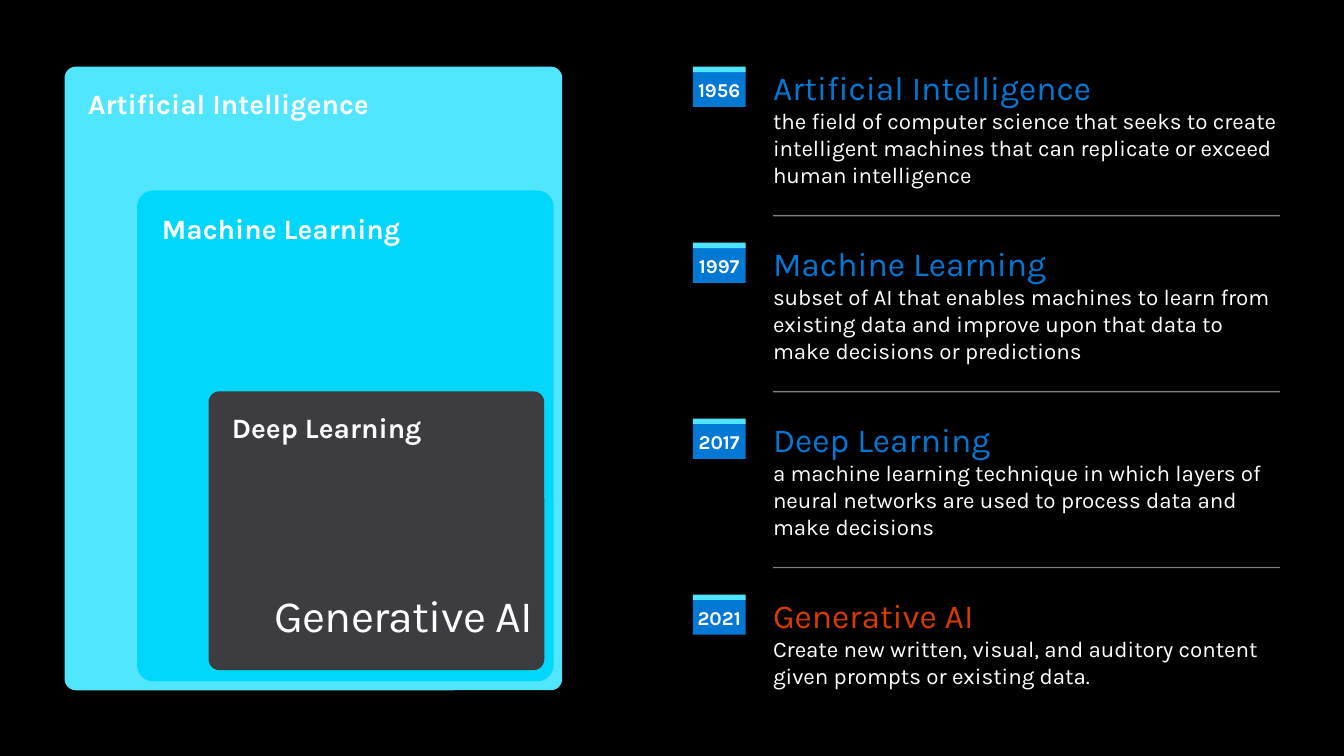
"""Build the slide that nests the fields of AI beside their timeline."""
from math import ceil

from lxml.etree import SubElement
from pptx import Presentation
from pptx.dml.color import RGBColor
from pptx.enum.shapes import MSO_CONNECTOR, MSO_SHAPE
from pptx.enum.text import MSO_ANCHOR, MSO_AUTO_SIZE, PP_ALIGN
from pptx.oxml.ns import qn
from pptx.util import Pt

THEME = {
    "font": "Karla",
    "background": "000000", "text": "FFFFFF", "accent": "0078D4",
    "highlight": "D83B01", "outer": "50E6FF", "middle": "00D7FB", "inner": "3C3C41",
    "title_size": 32, "heading_size": 24, "panel_size": 20, "body_size": 16, "year_size": 14,
}

TITLE = "Generative AI"
PANELS = [
    ("Artificial Intelligence", "outer", (46.1, 47.6, 355.5, 445.5), 0.023),
    ("Machine Learning", "middle", (97.9, 136.1, 297.5, 350.6), 0.039),
    ("Deep Learning", "inner", (149, 279.5, 239.8, 199.2), 0.039),
]
TIMELINE = [
    ("1956", "Artificial Intelligence", "accent",
     "the field of computer science that seeks to create intelligent machines "
     "that can replicate or exceed human intelligence"),
    ("1997", "Machine Learning", "accent",
     "subset of AI that enables machines to learn from existing data and improve "
     "upon that data to make decisions or predictions"),
    ("2017", "Deep Learning", "accent",
     "a machine learning technique in which layers of neural networks are used "
     "to process data and make decisions"),
    ("2021", "Generative AI", "highlight",
     "Create new written, visual, and auditory content given prompts or existing data."),
]

TOP, STEP = 47.6, 125.7
YEAR_X, YEAR_W, YEAR_H, STRIP_H = 494.9, 37.7, 24.8, 3.9
TEXT_X, TEXT_W, RULE_GAP = 552.2, 362.1, 106.4
LINE_RATIO, LINE_CHARS = 1.21, 42


def color(name):
    return RGBColor.from_string(THEME[name])


def add_run(p, text, size, fill="text", bold=False):
    r = p.add_run()
    r.text = text
    r.font.name = THEME["font"]
    r.font.size = Pt(THEME[size])
    r.font.bold = bold
    r.font.color.rgb = color(fill)
    return r


def set_frame(tf, inset_x=0, inset_y=0, anchor=MSO_ANCHOR.TOP):
    tf.word_wrap = True
    tf.margin_left = tf.margin_right = Pt(inset_x)
    tf.margin_top = tf.margin_bottom = Pt(inset_y)
    tf.vertical_anchor = anchor


def add_block(s, kind, box, fill):
    sp = s.shapes.add_shape(kind, *map(Pt, box))
    sp.shadow.inherit = False
    sp.fill.solid()
    sp.fill.fore_color.rgb = color(fill)
    sp.line.fill.background()
    return sp


def add_panel(s, label, fill, box, radius):
    sp = add_block(s, MSO_SHAPE.ROUNDED_RECTANGLE, box, fill)
    sp.adjustments[0] = radius
    set_frame(sp.text_frame, 14.4, 11.52)
    p = sp.text_frame.paragraphs[0]
    p.alignment = PP_ALIGN.LEFT
    add_run(p, label, "panel_size", bold=True)


def add_title(s):
    sp = s.shapes.title
    sp.left, sp.top, sp.width, sp.height = map(Pt, (188.4, 419.8, 200, 38.9))
    set_frame(sp.text_frame)
    sp.text_frame.auto_size = MSO_AUTO_SIZE.NONE
    p = sp.text_frame.paragraphs[0]
    p.alignment = PP_ALIGN.CENTER
    r = add_run(p, TITLE, "title_size")
    r.font._element.set("spc", "-50")
    sp.element.getparent().append(sp.element)


def add_rule(s, y):
    line = s.shapes.add_connector(
        MSO_CONNECTOR.STRAIGHT, Pt(TEXT_X), Pt(y), Pt(TEXT_X + TEXT_W), Pt(y))
    line.line.width = Pt(1)
    line.line.color.rgb = color("text")
    spPr = line.element.spPr
    SubElement(spPr.find(".//" + qn("a:srgbClr")), qn("a:alpha"), val="50000")
    SubElement(spPr, qn("a:effectLst"))


def add_entry(s, y, year, heading, fill, body):
    badge = add_block(
        s, MSO_SHAPE.RECTANGLE, (YEAR_X, y + STRIP_H, YEAR_W, YEAR_H), "accent")
    set_frame(badge.text_frame, anchor=MSO_ANCHOR.MIDDLE)
    p = badge.text_frame.paragraphs[0]
    p.alignment = PP_ALIGN.CENTER
    add_run(p, year, "year_size", bold=True)
    add_block(s, MSO_SHAPE.RECTANGLE, (YEAR_X, y, YEAR_W, STRIP_H), "outer")

    lines = ceil(len(body) / LINE_CHARS)
    height = LINE_RATIO * (THEME["heading_size"] + lines * THEME["body_size"])
    tf = s.shapes.add_textbox(Pt(TEXT_X), Pt(y), Pt(TEXT_W), Pt(round(height, 2))).text_frame
    set_frame(tf)
    tf.auto_size = MSO_AUTO_SIZE.SHAPE_TO_FIT_TEXT
    add_run(tf.paragraphs[0], heading, "heading_size", fill)
    p = tf.add_paragraph()
    p.space_after = Pt(6)
    add_run(p, body, "body_size")


def main():
    prs = Presentation()
    prs.slide_width, prs.slide_height = Pt(960), Pt(540)
    s = prs.slides.add_slide(prs.slide_layouts[5])
    s.background.fill.solid()
    s.background.fill.fore_color.rgb = color("background")
    for panel in PANELS:
        add_panel(s, *panel)
    add_title(s)
    for i, entry in enumerate(TIMELINE):
        y = TOP + i * STEP
        add_entry(s, y, *entry)
        if i < len(TIMELINE) - 1:
            add_rule(s, y + RULE_GAP)
    prs.save("out.pptx")


if __name__ == "__main__":
    main()
